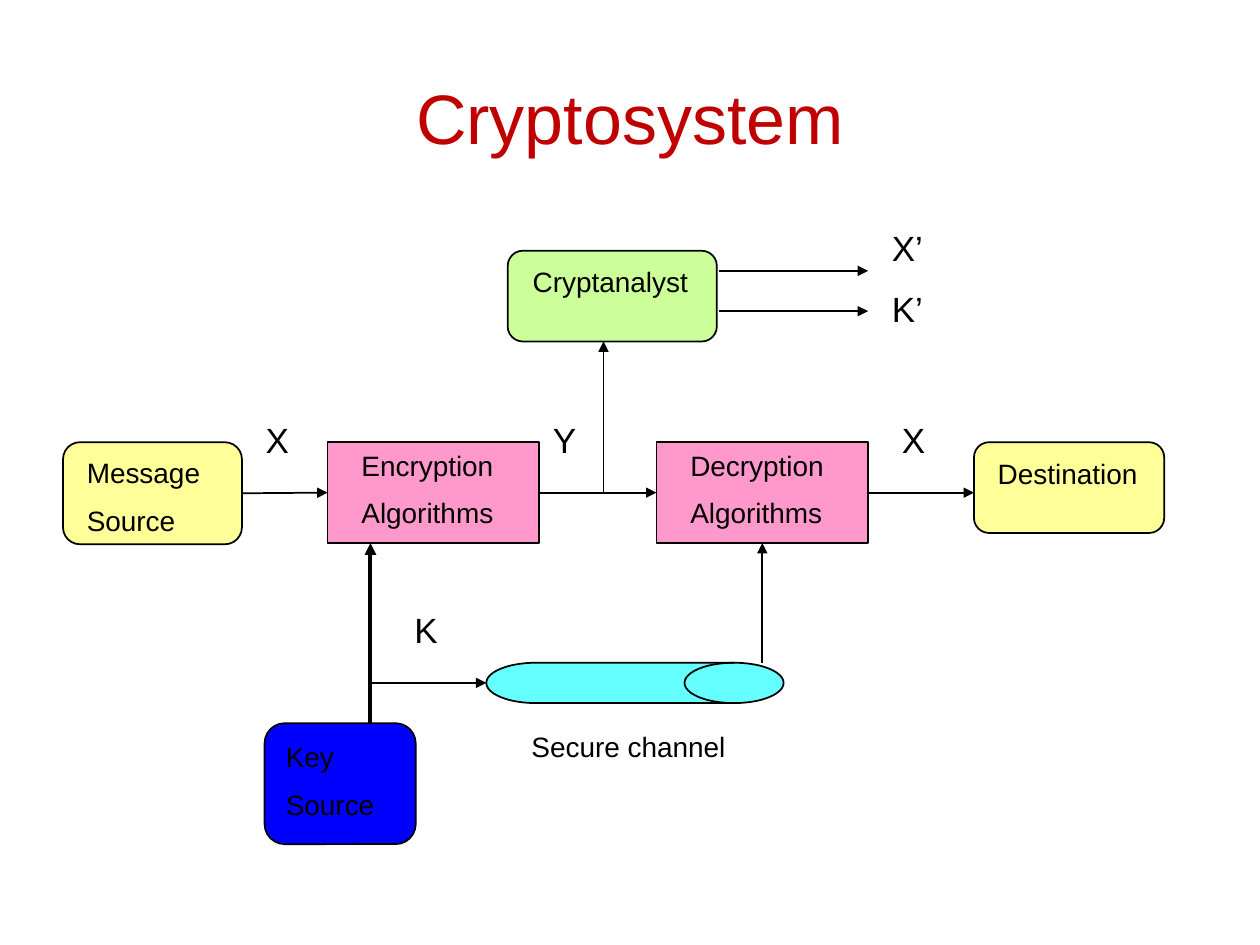
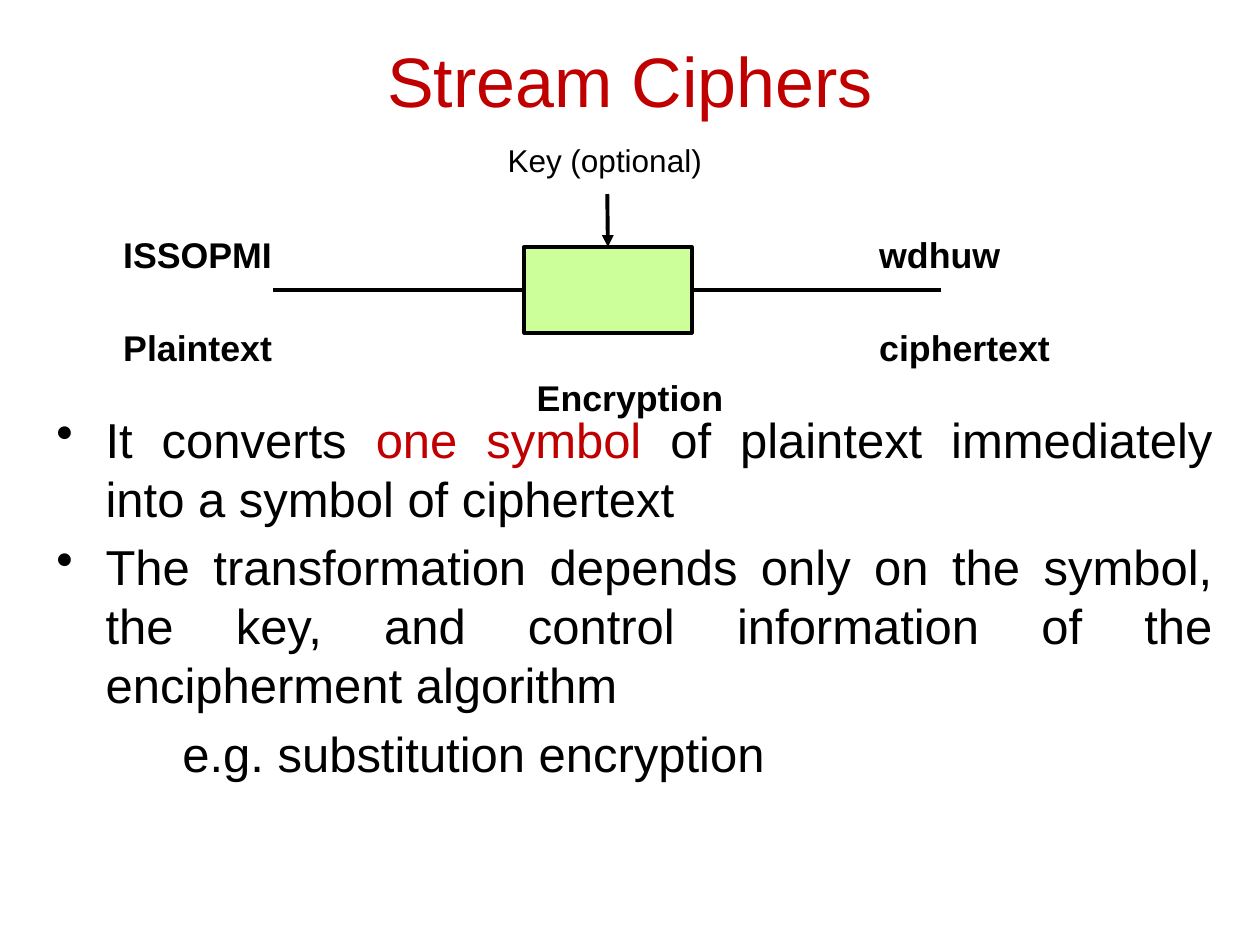
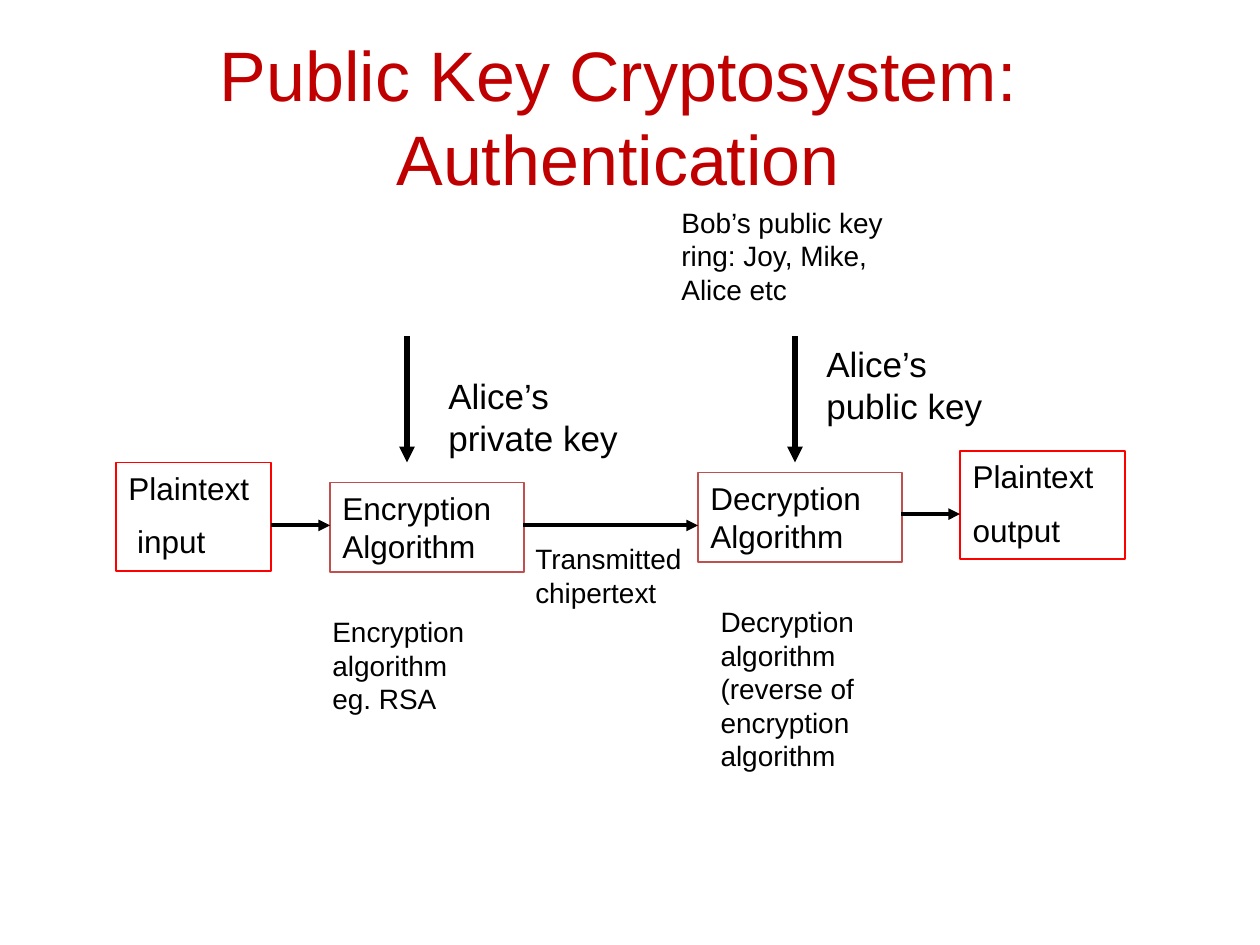
import dataclasses

import lxml.etree
import pptx
import pptx.dml.color
import pptx.enum.shapes
import pptx.enum.text
import pptx.oxml.ns
import pptx.util

PX = 9144  # EMU in one px, 100 px to the inch
SHAPE = pptx.enum.shapes.MSO_SHAPE
ALIGN = pptx.enum.text.PP_ALIGN
ANCHOR = pptx.enum.text.MSO_ANCHOR


@dataclasses.dataclass(frozen=True)
class Theme:
    font: str = "Arial"
    ink: str = "000000"
    accent: str = "C00000"
    green: str = "CCFF99"
    yellow: str = "FFFF99"
    pink: str = "FF99CC"
    blue: str = "0000FF"
    cyan: str = "66FFFF"
    red: str = "FF0000"
    brick: str = "C0504D"
    title: float = 40
    body: float = 28
    caption: float = 20.4
    symbol: float = 20
    box: float = 18
    label: float = 16
    thin: float = 1
    medium: float = 2.25
    thick: float = 3


T = Theme()


def rgb(value):
    return pptx.dml.color.RGBColor.from_string(value)


def add_xml(parent, tag, **attributes):
    return lxml.etree.SubElement(parent, pptx.oxml.ns.qn(tag), attributes)


def add_run(p, text, size, color=T.ink, bold=False):
    r = p.add_run()
    r.text = text
    r.font.name, r.font.size, r.font.bold = T.font, pptx.util.Pt(size), bold
    r.font.color.rgb = rgb(color)


def paragraph(tf, first, align=ALIGN.LEFT, before=0):
    p = tf.paragraphs[0] if first else tf.add_paragraph()
    p.alignment = align
    if not first:
        p.space_before = pptx.util.Pt(before)
    return p


def write(sp, lines, size):
    """Left-aligned lines from the top, half a line of space between them."""
    tf = sp.text_frame
    tf.word_wrap = True
    tf.vertical_anchor = ANCHOR.TOP
    for i, line in enumerate(lines):
        add_run(paragraph(tf, i == 0, before=size / 2), line, size)


@dataclasses.dataclass
class Region:
    """A box on a slide; everything in it is placed from its top left corner."""
    s: object
    x: int
    y: int
    w: int
    h: int

    def place(self, x, y, w, h):
        return [v * PX for v in (self.x + x, self.y + y, w, h)]

    def textbox(self, x, y, w, h):
        sp = self.s.shapes.add_textbox(*self.place(x, y, w, h))
        sp.text_frame.word_wrap = True
        return sp

    def label(self, x, y, w, h, lines, size=T.label):
        write(self.textbox(x, y, w, h), lines, size)

    def shape(self, kind, x, y, w, h, fill=None, line=T.ink, weight=T.thin):
        sp = self.s.shapes.add_shape(kind, *self.place(x, y, w, h))
        sp.shadow.inherit = False
        if fill:
            sp.fill.solid()
            sp.fill.fore_color.rgb = rgb(fill)
        else:
            sp.fill.background()
        sp.line.color.rgb = rgb(line)
        sp.line.width = pptx.util.Pt(weight)
        return sp

    def line(self, start, end, weight=T.thin, arrow=True):
        """Each end is a point, or a shape with the number of its side."""
        joined = [not isinstance(e[0], int) for e in (start, end)]
        (x1, y1), (x2, y2) = [(0, 0) if j else e for j, e in zip(joined, (start, end))]
        c = self.s.shapes.add_connector(
            pptx.enum.shapes.MSO_CONNECTOR.STRAIGHT,
            *self.place(x1, y1, self.x + x2, self.y + y2))
        if joined[0]:
            c.begin_connect(*start)
        if joined[1]:
            c.end_connect(*end)
        c.line.color.rgb = rgb(T.ink)
        c.line.width = pptx.util.Pt(weight)
        spPr = c._element.spPr
        if arrow:
            add_xml(spPr.get_or_add_ln(), "a:tailEnd", type="triangle")
        add_xml(spPr, "a:effectLst")


def title(region, text):
    sp = region.textbox(0, 0, region.w, region.h)
    sp.text_frame.vertical_anchor = ANCHOR.MIDDLE
    add_run(paragraph(sp.text_frame, True, ALIGN.CENTER), text, T.title, T.accent)


def cryptosystem_diagram(region):
    # Parties and algorithms: kind, fill, box, label offset and width
    rounded, rect = SHAPE.ROUNDED_RECTANGLE, SHAPE.RECTANGLE
    row = 176
    nodes = [
        (rounded, T.green, (353, 24, 166, 72), (10, 6, 184), ["Cryptanalyst"]),
        (rounded, T.blue, (160, 399, 120, 96), (7, 8, 135), ["Key", "Source"]),
        (rounded, T.yellow, (723, row, 151, 72), (9, 6, 168), ["Destination"]),
        (rounded, T.yellow, (0, row, 142, 81), (9, 6, 159), ["Message", "Source"]),
        (rect, T.pink, (210, row, 168, 80), (17, 0, 168), ["Encryption", "Algorithms"]),
        (rect, T.pink, (471, row, 168, 80), (17, 0, 168), ["Decryption", "Algorithms"]),
    ]
    placed = {}
    for kind, fill, box, (dx, dy, width), lines in nodes:
        placed[lines[0]] = region.shape(kind, *box, fill)
        height = 41 if len(lines) == 1 else 86
        region.label(box[0] + dx, box[1] + dy, width, height, lines)

    # Secure channel
    region.shape(SHAPE.FLOWCHART_DIRECT_ACCESS_STORAGE, 336, 351, 236, 32, T.cyan)
    region.label(362, 399, 193, 41, ["Secure channel"])

    # Message flow
    encryption, decryption = placed["Encryption"], placed["Decryption"]
    region.line((placed["Message"], 3), (encryption, 1))
    region.line((encryption, 3), (decryption, 1))
    region.line((decryption, 3), (723, 216))
    region.line((429, 216), (429, 96))
    for y in (40, 72):
        region.line((521, y), (639, y))

    # Key flow
    region.line((244, 399), (244, 256), T.medium)
    region.line((244, 367), (336, 367))
    region.line((555, 351), (555, 256))

    # Symbols on the flows
    for text, x, y in [("X", 151, 152), ("Y", 379, 152), ("X", 656, 152),
                       ("K", 269, 303), ("X’", 648, 0), ("K’", 648, 48)]:
        region.label(x, y, 50, 49, [text], T.symbol)


def cipher_captions(region):
    tf = region.textbox(0, 0, region.w, region.h).text_frame
    rows = [("ISSOPMI\twdhuw", ALIGN.LEFT, 0),
            ("Plaintext\tciphertext", ALIGN.LEFT, 28.6),
            ("Encryption", ALIGN.CENTER, 4.1)]
    for i, (text, align, before) in enumerate(rows):
        p = paragraph(tf, i == 0, align, before)
        add_run(p, text, T.caption, bold=True)
        if "\t" in text:
            tabs = add_xml(p._p.get_or_add_pPr(), "a:tabLst")
            add_xml(tabs, "a:tab", pos=str(600 * PX), algn="l")


def cipher_points(region):
    tf = region.textbox(0, 0, region.w, region.h).text_frame
    points = [
        (True, [("It converts ", T.ink), ("one symbol ", T.accent),
                ("of plaintext immediately into a symbol of ciphertext", T.ink)]),
        (True, [("The transformation depends only on the symbol, the key, and control "
                 "information of the encipherment algorithm", T.ink)]),
        (False, [("e.g. substitution encryption", T.ink)]),
    ]
    for i, (bullet, runs) in enumerate(points):
        p = paragraph(tf, i == 0, ALIGN.JUSTIFY, T.body / 5)
        for text, color in runs:
            add_run(p, text, T.body, color)
        pPr = p._p.get_or_add_pPr()
        pPr.set("marL", str((39 if bullet else 100) * PX))
        if bullet:
            pPr.set("indent", str(-39 * PX))
            add_xml(pPr, "a:buChar", char="•")


def cipher_diagram(region):
    # Cipher box with its wires and key
    cipher = region.shape(SHAPE.RECTANGLE, 199, 89, 133, 68, T.green, weight=T.medium)
    region.line((0, 123), (cipher, 1), T.medium, arrow=False)
    region.line((cipher, 3), (region.w, 123), T.medium, arrow=False)
    region.line((265, 47), (cipher, 0), T.medium)
    region.label(176, 0, 183, 40, ["Key (optional)"], T.box)


def authentication_diagram(region):
    # Boxes of the flow
    for box, color, lines in [
        ((0, 209, 123, 86), T.red, ["Plaintext", " input"]),
        ((670, 200, 131, 86), T.red, ["Plaintext", "output"]),
        ((170, 225, 154, 71), T.brick, ["Encryption Algorithm"]),
        ((462, 217, 162, 71), T.brick, ["Decryption Algorithm"]),
    ]:
        write(region.shape(SHAPE.RECTANGLE, *box, line=color), lines, T.box)

    # Keys coming down, text going across
    for x in (231, 539):
        region.line((x, 109), (x, 209), T.thick)
    for x1, x2, y in [(123, 170, 259), (623, 670, 250), (323, 462, 259)]:
        region.line((x1, y), (x2, y), T.medium)

    # Captions
    for box, text, size in [
        ((439, 0, 215, 91), "Bob’s public key ring: Joy, Mike, Alice etc", T.label),
        ((254, 134, 177, 77), "Alice’s private key", T.symbol),
        ((554, 109, 177, 77), "Alice’s public key", T.symbol),
        ((323, 267, 146, 64), "Transmitted chipertext", T.label),
        ((162, 325, 146, 91), "Encryption algorithm eg. RSA", T.label),
        ((470, 317, 169, 150), "Decryption algorithm (reverse of encryption algorithm", T.label),
    ]:
        region.label(*box, [text], size)


def main():
    prs = pptx.Presentation()
    prs.slide_width, prs.slide_height = 1000 * PX, 750 * PX
    blank = prs.slide_layouts[6]

    s = prs.slides.add_slide(blank)
    title(Region(s, 50, 30, 900, 125), "Cryptosystem")
    cryptosystem_diagram(Region(s, 50, 175, 900, 495))

    s = prs.slides.add_slide(blank)
    title(Region(s, 50, 13, 900, 101), "Stream Ciphers")
    cipher_captions(Region(s, 88, 180, 824, 154))
    cipher_points(Region(s, 35, 320, 937, 362))
    cipher_diagram(Region(s, 217, 107, 530, 157))

    s = prs.slides.add_slide(blank)
    title(Region(s, 59, 13, 863, 157), "Public Key Cryptosystem: Authentication")
    authentication_diagram(Region(s, 92, 158, 801, 467))

    prs.save("out.pptx")


if __name__ == "__main__":
    main()
